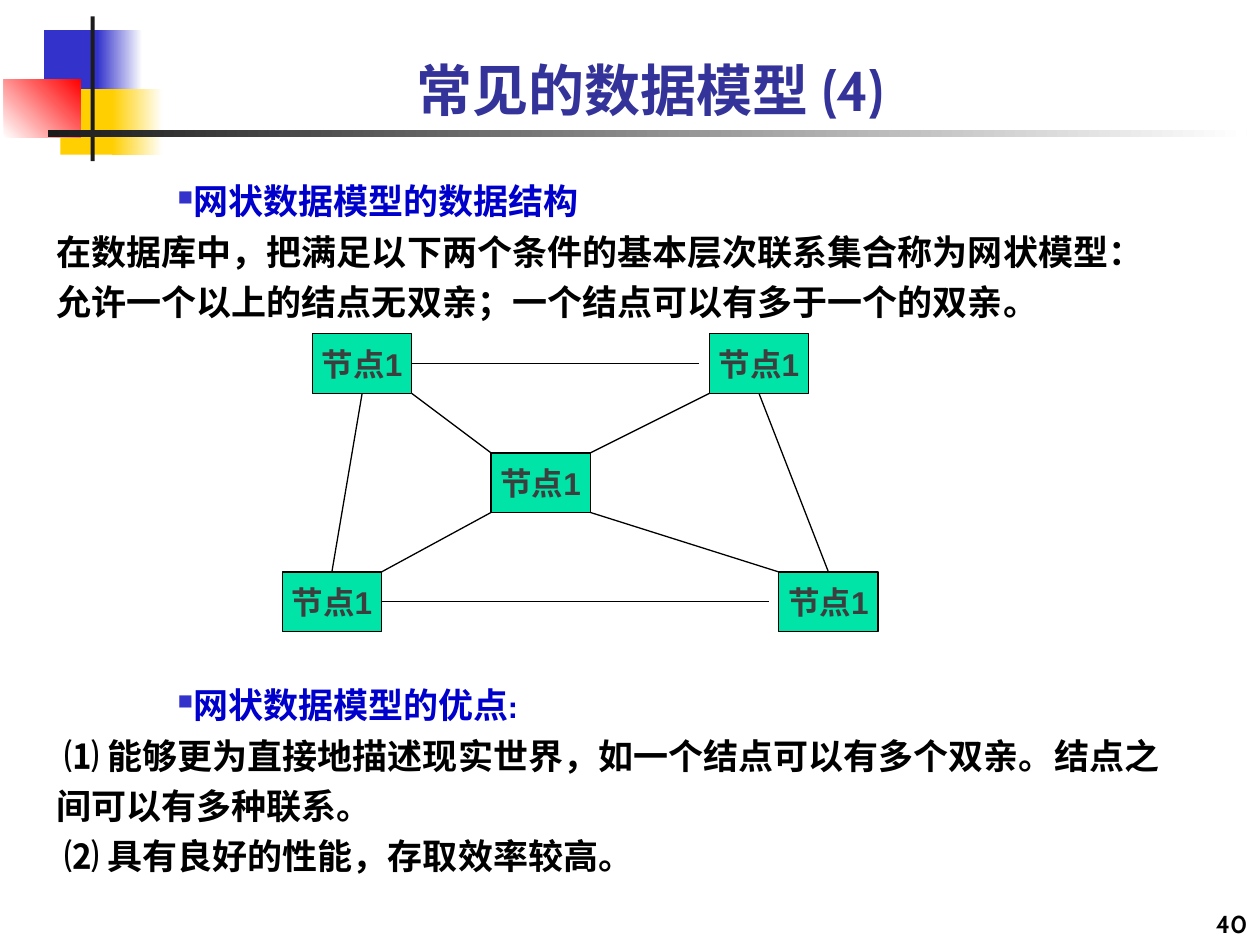
"""Build the slide on the network data model."""
from lxml.etree import SubElement
from pptx import Presentation
from pptx.dml.color import RGBColor
from pptx.enum.shapes import MSO_CONNECTOR, MSO_SHAPE
from pptx.enum.text import MSO_ANCHOR, PP_ALIGN
from pptx.oxml.ns import qn
from pptx.util import Cm, Pt

TITLE = "常见的数据模型 (4)"
PAGE_NUMBER = "40"
BODY = [
    ("heading", "网状数据模型的数据结构", 0),
    ("text", "在数据库中，把满足以下两个条件的基本层次联系集合称为网状模型：允许一个以上的结点无双亲；一个结点可以有多于一个的双亲。", 0),
    ("heading", "网状数据模型的优点:", 201.6),
    ("text", " ⑴ 能够更为直接地描述现实世界，如一个结点可以有多个双亲。结点之间可以有多种联系。", 0),
    ("text", " ⑵ 具有良好的性能，存取效率较高。", 0),
]
BODY_COLORS = {"heading": "0000CC", "text": "000000"}

ORNAMENT = [
    ((0.89, 0.61, 1.22, 1.32), ["3333CC"], 0),
    ((1.96, 0.61, 0.91, 1.32), ["3333CC", "FFFFFF"], 0),
    ((1.22, 1.8, 1.17, 1.32), ["FFCF01"], 0),
    ((2.26, 1.8, 1.02, 1.32), ["FFCF01", "FFFFFF"], 0),
    ((0.08, 1.6, 1.55, 1.17), ["FFFFFF", "FF0000"], 45),
    ((1.83, 0.33, 0.08, 2.92), ["1C1C1C"], 0),
    ((0.97, 2.62, 24.16, 0.15), ["1C1C1C", "FFFFFF"], 0),
]

NODE_LABEL = "节点1"
NODE_WIDTH, NODE_HEIGHT = 2, 1.2
FIRST_ROW, ROW_STEP = 6.73, 2.4
NODES = {
    "top left": (6.3, 0),
    "top right": (14.3, 0),
    "bottom right": (15.7, 2),
    "center": (9.9, 1),
    "bottom left": (5.69, 2),
}
SITES = {(0.5, 0): 0, (0, 0.5): 1, (0.5, 1): 2, (1, 0.5): 3}
LINKS = [
    ("top left", (1, 0.5), "top right", (-0.1, 0.5)),
    ("bottom left", (1, 0.5), "bottom right", (-0.1, 0.5)),
    ("top left", (0.5, 1), "bottom left", (0.5, 0)),
    ("top right", (0.5, 1), "bottom right", (0.5, 0)),
    ("top right", (0, 1), "center", (1, 0)),
    ("center", (0, 1), "bottom left", (1, 0)),
    ("top left", (1, 1), "center", (0, 0)),
    ("center", (1, 1), "bottom right", (0, 0)),
]


def color(hex_value):
    return RGBColor.from_string(hex_value)


def style(paragraph, size, hex_value, font="Cabin", align=PP_ALIGN.LEFT):
    paragraph.alignment = align
    for run in paragraph.runs:
        run.font.size = Pt(size)
        run.font.bold = True
        run.font.name = font
        run.font.color.rgb = color(hex_value)


def add_box(slide, place, anchor=MSO_ANCHOR.TOP):
    frame = slide.shapes.add_textbox(*map(Cm, place)).text_frame
    frame.word_wrap = True
    frame.vertical_anchor = anchor
    return frame


def add_rectangle(slide, place, fills, angle=0):
    rectangle = slide.shapes.add_shape(MSO_SHAPE.RECTANGLE, *map(Cm, place))
    rectangle.shadow.inherit = False
    rectangle.line.fill.background()
    if len(fills) == 1:
        rectangle.fill.solid()
        rectangle.fill.fore_color.rgb = color(fills[0])
    else:
        rectangle.fill.gradient()
        rectangle.fill.gradient_angle = angle
        for stop, hex_value in zip(rectangle.fill.gradient_stops, fills):
            stop.color.rgb = color(hex_value)
    return rectangle


def add_bullet(paragraph):
    properties = paragraph._p.get_or_add_pPr()
    properties.set("marL", str(Cm(2.44)))
    properties.set("indent", "0")
    bullet_color = SubElement(properties, qn("a:buClr"))
    SubElement(bullet_color, qn("a:srgbClr"), val="3333CC")
    SubElement(properties, qn("a:buSzPct"), val="60000")
    SubElement(properties, qn("a:buChar"), char="■")


def add_body(slide):
    frame = add_box(slide, (0.89, 3.33, 23.06, 15.01))
    for index, (role, wording, gap) in enumerate(BODY):
        paragraph = frame.add_paragraph() if index else frame.paragraphs[0]
        paragraph.text = wording
        if role == "heading":
            add_bullet(paragraph)
        paragraph.line_spacing = 1.2
        if gap:
            paragraph.space_before = Pt(gap)
        style(paragraph, 20, BODY_COLORS[role])


def add_node(slide, left, row):
    place = (left, FIRST_ROW + row * ROW_STEP, NODE_WIDTH, NODE_HEIGHT)
    node = add_rectangle(slide, place, ["00E4A8"])
    node.line.color.rgb = color("000000")
    node.line.width = Pt(0.75)
    frame = node.text_frame
    frame.word_wrap = False
    frame.vertical_anchor = MSO_ANCHOR.MIDDLE
    frame.text = NODE_LABEL
    style(frame.paragraphs[0], 18, "3B3F3D", "Arial", PP_ALIGN.CENTER)
    return node


def point_on(node, fraction):
    across, down = fraction
    return int(node.left + across * node.width), int(node.top + down * node.height)


def add_link(slide, start, start_at, end, end_at):
    link = slide.shapes.add_connector(
        MSO_CONNECTOR.STRAIGHT, *point_on(start, start_at), *point_on(end, end_at))
    link.line.color.rgb = color("000000")
    link.line.width = Pt(0.75)
    SubElement(link._element.spPr, qn("a:effectLst"))
    if start_at in SITES:
        link.begin_connect(start, SITES[start_at])
    if end_at in SITES:
        link.end_connect(end, SITES[end_at])


def main():
    presentation = Presentation()
    presentation.slide_width, presentation.slide_height = Cm(25.4), Cm(19.05)
    slide = presentation.slides.add_slide(presentation.slide_layouts[6])

    for place, fills, angle in ORNAMENT:
        add_rectangle(slide, place, fills, angle)

    number = add_box(slide, (20.12, 17.78, 5.28, 1.27), MSO_ANCHOR.BOTTOM)
    number.text = PAGE_NUMBER
    style(number.paragraphs[0], 14, "000000", align=PP_ALIGN.RIGHT)

    add_body(slide)

    nodes = {name: add_node(slide, *position) for name, position in NODES.items()}
    for start, start_at, end, end_at in LINKS:
        add_link(slide, nodes[start], start_at, nodes[end], end_at)

    title = add_box(slide, (2.29, 1.12, 21.64, 1.47), MSO_ANCHOR.BOTTOM)
    title.text = TITLE
    style(title.paragraphs[0], 32, "333399", align=PP_ALIGN.CENTER)

    presentation.save("out.pptx")


if __name__ == "__main__":
    main()
